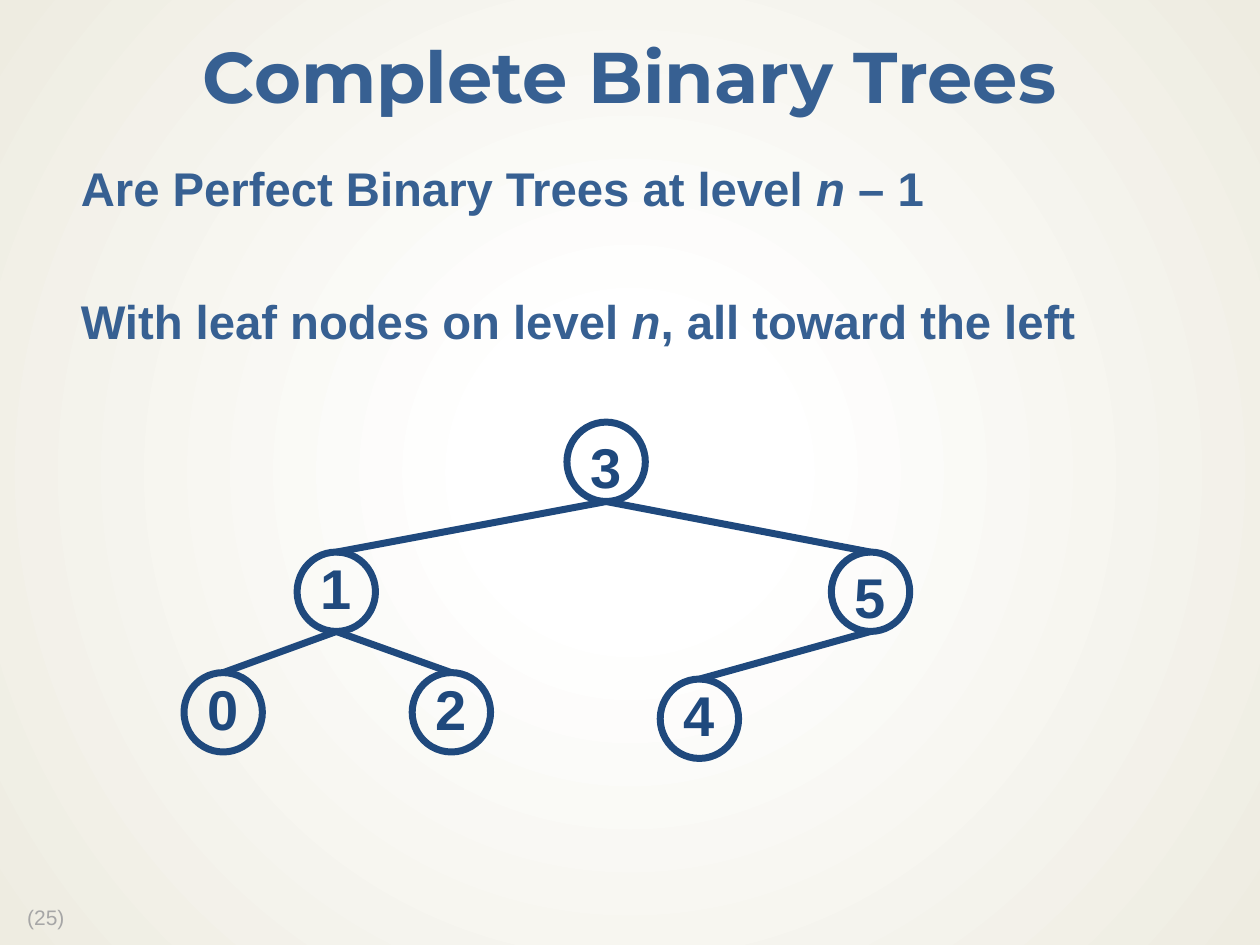
"""Build the slide on complete binary trees."""
from lxml import etree
from pptx import Presentation
from pptx.dml.color import RGBColor
from pptx.enum.shapes import MSO_CONNECTOR, MSO_SHAPE
from pptx.enum.text import MSO_ANCHOR, PP_ALIGN
from pptx.oxml.ns import qn
from pptx.util import Cm, Pt

COLORS = {"heading": "376092", "tree": "1F497D", "number": "A6A6A6",
          "center": "FFFFFF", "edge": "EEECE1"}
STYLES = {
    "title": ({"name": "Montserrat", "size": Pt(41), "bold": True}, "heading"),
    "body": ({"name": "Arial", "size": Pt(27), "bold": True}, "heading"),
    "node": ({"name": "Arial", "size": Pt(32), "bold": True}, "tree"),
    "number": ({"name": "Arial", "size": Pt(12), "bold": False}, "number"),
}


def set_frame(frame, **settings):
    for name, value in settings.items():
        setattr(frame, name, value)


def add_span(para, text, style, italic=False):
    span = para.add_run()
    span.text = text
    values, color = STYLES[style]
    for name, value in values.items():
        setattr(span.font, name, value)
    span.font.italic = italic
    span.font.color.rgb = RGBColor.from_string(COLORS[color])
    para.line_spacing = 0.9


deck = Presentation()
deck.slide_width, deck.slide_height = Cm(25.4), Cm(19.05)
page = deck.slides.add_slide(deck.slide_layouts[5])

backdrop = page.background.fill
backdrop.gradient()
for stop, (position, color) in zip(backdrop.gradient_stops, [(0.18, "center"), (1, "edge")]):
    stop.position = position
    stop.color.rgb = RGBColor.from_string(COLORS[color])
linear = page.background._cSld.find(".//" + qn("a:lin"))
radial = etree.Element(qn("a:path"), {"path": "circle"})
etree.SubElement(radial, qn("a:fillToRect"), dict.fromkeys("ltrb", "50000"))
linear.getparent().replace(linear, radial)

title = page.shapes.title
title.left, title.top, title.width, title.height = Cm(0), Cm(0.43), Cm(25.4), Cm(2.39)
set_frame(title.text_frame, vertical_anchor=MSO_ANCHOR.MIDDLE, word_wrap=True)
para = title.text_frame.paragraphs[0]
para.alignment = PP_ALIGN.CENTER
add_span(para, "Complete Binary Trees", "title")

number = page.shapes.add_textbox(Cm(0.3), Cm(18.16), Cm(1.3), Cm(0.71))
set_frame(number.text_frame, word_wrap=False)
add_span(number.text_frame.paragraphs[0], "(25)", "number")

body = page.shapes.add_textbox(Cm(0.97), Cm(3.18), Cm(23.5), Cm(14.35))
set_frame(body.text_frame, word_wrap=True, margin_left=Cm(0.66), margin_right=Cm(0.3),
          margin_top=Cm(0.15), margin_bottom=Cm(0.15))
statements = [("Are Perfect Binary Trees at level ", " – 1"),
              ("With leaf nodes on level ", ", all toward the left")]
for index, (before, after) in enumerate(statements):
    para = body.text_frame.add_paragraph() if index else body.text_frame.paragraphs[0]
    if index:
        para.space_before = Pt(47)
    add_span(para, before, "body")
    add_span(para, "n", "body", italic=True)
    add_span(para, after, "body")

node_width, node_height = 1.58, 1.6
tree_color = RGBColor.from_string(COLORS["tree"])
nodes = {
    "3": (11.43, 8.51, MSO_ANCHOR.TOP),
    "1": (5.99, 11.13, MSO_ANCHOR.MIDDLE),
    "0": (3.71, 13.56, MSO_ANCHOR.MIDDLE),
    "2": (8.31, 13.56, MSO_ANCHOR.MIDDLE),
    "5": (16.76, 11.13, MSO_ANCHOR.TOP),
    "4": (13.31, 13.69, MSO_ANCHOR.MIDDLE),
}
for label, (left, top, anchor) in nodes.items():
    node = page.shapes.add_shape(MSO_SHAPE.OVAL, Cm(left), Cm(top),
                                 Cm(node_width), Cm(node_height))
    node.shadow.inherit = False
    node.fill.background()
    node.line.color.rgb = tree_color
    node.line.width = Pt(4)
    set_frame(node.text_frame, vertical_anchor=anchor, margin_left=0, margin_right=0)
    para = node.text_frame.paragraphs[0]
    para.alignment = PP_ALIGN.CENTER
    add_span(para, label, "node")

for parent, child in ["31", "35", "10", "12", "54"]:
    start_left, start_top, _ = nodes[parent]
    end_left, end_top, _ = nodes[child]
    edge = page.shapes.add_connector(
        MSO_CONNECTOR.STRAIGHT,
        Cm(start_left + node_width / 2), Cm(start_top + node_height),
        Cm(end_left + node_width / 2), Cm(end_top))
    edge.line.color.rgb = tree_color
    edge.line.width = Pt(4)
    etree.SubElement(edge._element.spPr, qn("a:effectLst"))

deck.save("out.pptx")
